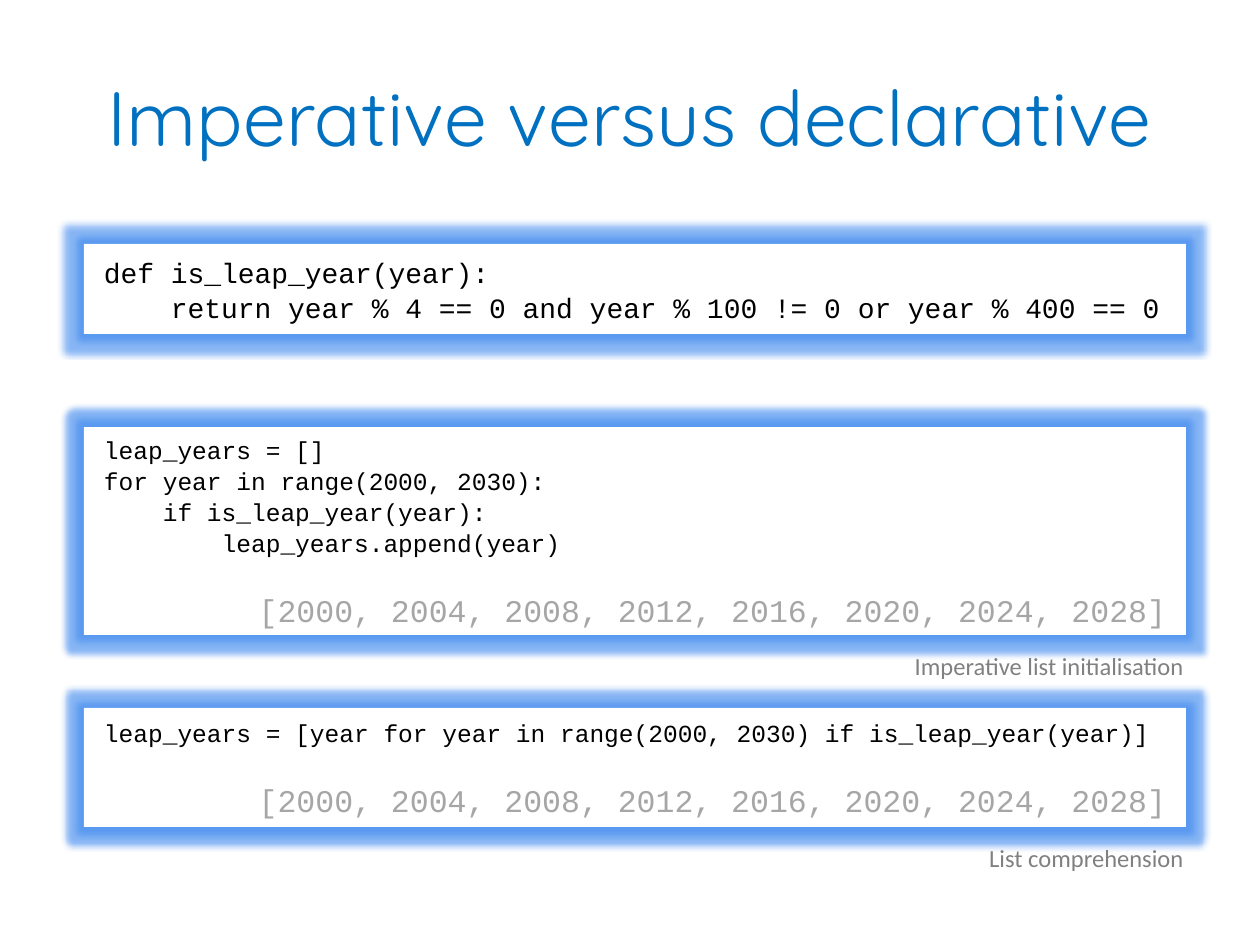
from dataclasses import dataclass

import pptx
import pptx.dml.color
import pptx.enum.shapes
import pptx.enum.text
import pptx.oxml
import pptx.oxml.ns
import pptx.util

EMU_PER_PX = 914400 / 126
COLOURS = {
    "title": "0070C0",
    "panel": "FFFFFF",
    "glow": "3A86EE",
    "code": "000000",
    "output": "A6A6A6",
    "caption": "808080",
}
ALIGN = pptx.enum.text.PP_ALIGN
ANCHOR = pptx.enum.text.MSO_ANCHOR
CODE_FONT = "Courier New"
PANEL_LEFT, PANEL_WIDTH = 84, 1102
CAPTION_LEFT, CAPTION_WIDTH, CAPTION_HEIGHT, CAPTION_GAP = 769, 427, 43, 10
LEAP_YEARS = "[2000, 2004, 2008, 2012, 2016, 2020, 2024, 2028]"


@dataclass(frozen=True)
class CodePanel:
    top: int
    height: int
    code: tuple[str, ...]
    size: int = 14
    output: str = ""
    caption: str = ""


PANELS = (
    CodePanel(
        244, 90,
        ("def is_leap_year(year):",
         "    return year % 4 == 0 and year % 100 != 0 or year % 400 == 0"),
        size=16,
    ),
    CodePanel(
        427, 208,
        ("leap_years = []",
         "for year in range(2000, 2030):",
         "    if is_leap_year(year):",
         "        leap_years.append(year)"),
        output=LEAP_YEARS,
        caption="Imperative list initialisation",
    ),
    CodePanel(
        708, 119,
        ("leap_years = [year for year in range(2000, 2030) if is_leap_year(year)]",),
        output=LEAP_YEARS,
        caption="List comprehension",
    ),
)


def px(length: int) -> pptx.util.Emu:
    return pptx.util.Emu(round(length * EMU_PER_PX))


def rgb(role: str) -> pptx.dml.color.RGBColor:
    return pptx.dml.color.RGBColor.from_string(COLOURS[role])


def write(frame, text: str, *, font: str, size: int, colour: str,
          align=ALIGN.LEFT, before: int = 0, line_spacing: float = 1.0) -> None:
    paragraph = frame.add_paragraph() if frame.text else frame.paragraphs[0]
    paragraph.alignment = align
    paragraph.space_before = pptx.util.Pt(before)
    paragraph.line_spacing = line_spacing
    words = paragraph.add_run()
    words.text = text
    words.font.name = font
    words.font.size = pptx.util.Pt(size)
    words.font.color.rgb = rgb(colour)


def add_glow(shape, radius: int, alpha: int) -> None:
    shape.shadow.inherit = False
    effects = shape._element.spPr.find(pptx.oxml.ns.qn("a:effectLst"))
    effects.append(pptx.oxml.parse_xml(
        f'<a:glow {pptx.oxml.ns.nsdecls("a")} rad="{px(radius)}">'
        f'<a:srgbClr val="{COLOURS["glow"]}"><a:alpha val="{alpha * 1000}"/>'
        '</a:srgbClr></a:glow>'
    ))


def add_label(slide, left: int, top: int, width: int, height: int):
    frame = slide.shapes.add_textbox(px(left), px(top), px(width), px(height)).text_frame
    frame.word_wrap = True
    return frame


def draw_panel(slide, panel: CodePanel) -> None:
    box = slide.shapes.add_shape(
        pptx.enum.shapes.MSO_SHAPE.RECTANGLE,
        px(PANEL_LEFT), px(panel.top), px(PANEL_WIDTH), px(panel.height),
    )
    box.fill.solid()
    box.fill.fore_color.rgb = rgb("panel")
    box.line.fill.background()
    add_glow(box, radius=13, alpha=60)
    frame = box.text_frame
    frame.word_wrap = True
    frame.vertical_anchor = ANCHOR.MIDDLE
    frame.margin_left = frame.margin_right = px(20)
    frame.margin_top = frame.margin_bottom = px(10)
    for line in panel.code:
        write(frame, line, font=CODE_FONT, size=panel.size, colour="code",
              line_spacing=1.05)
    if panel.output:
        write(frame, panel.output, font=CODE_FONT, size=18, colour="output",
              align=ALIGN.RIGHT, before=18, line_spacing=1.05)
    if panel.caption:
        caption = add_label(slide, CAPTION_LEFT, panel.top + panel.height + CAPTION_GAP,
                            CAPTION_WIDTH, CAPTION_HEIGHT)
        write(caption, panel.caption, font="Calibri", size=14, colour="caption",
              align=ALIGN.RIGHT)


def main() -> None:
    deck = pptx.Presentation()
    deck.slide_width, deck.slide_height = px(1260), px(945)
    slide = deck.slides.add_slide(deck.slide_layouts[6])
    title = add_label(slide, 63, 37, 1134, 157)
    title.vertical_anchor = ANCHOR.MIDDLE
    write(title, "Imperative versus declarative", font="Quicksand", size=44,
          colour="title", align=ALIGN.CENTER)
    for panel in PANELS:
        draw_panel(slide, panel)
    deck.save("out.pptx")


if __name__ == "__main__":
    main()
